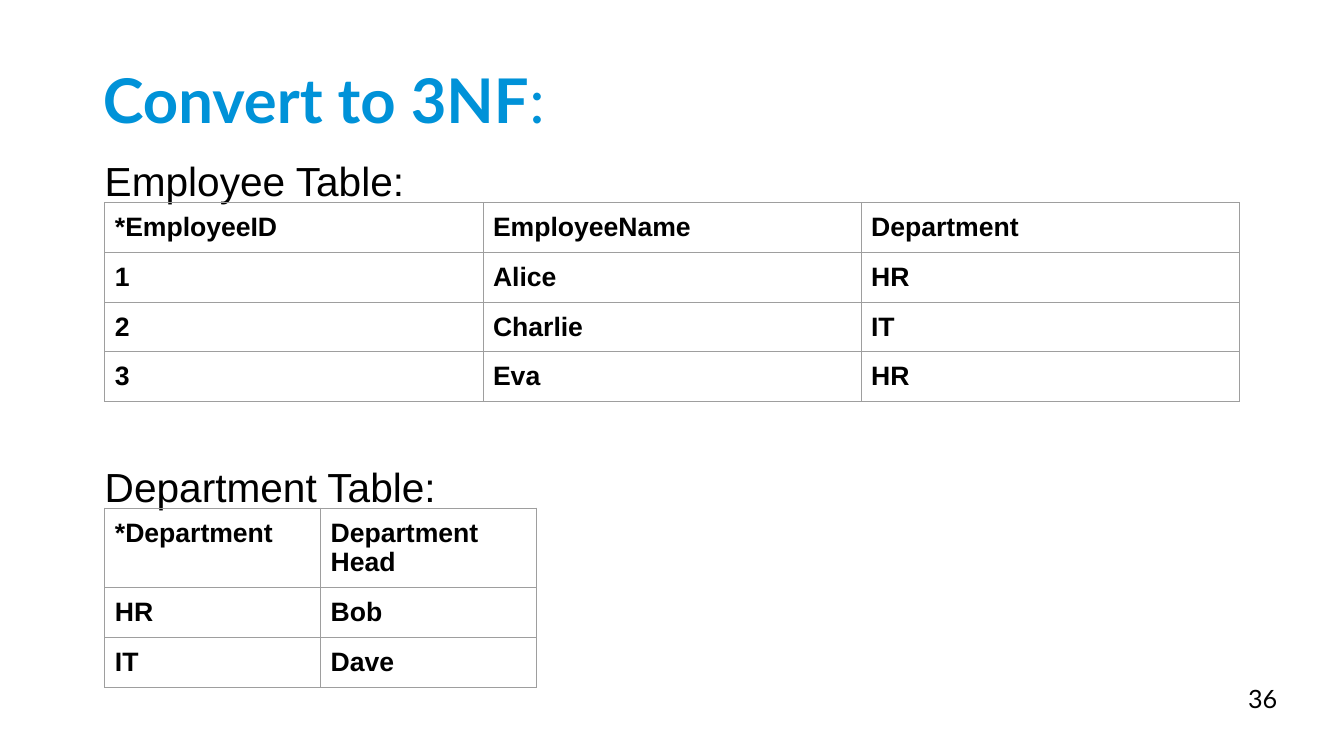
from lxml import etree
from pptx import Presentation
from pptx import util as u
from pptx.dml import color
from pptx.enum import text
from pptx.oxml import ns

TITLE_ONLY = 5


def rgb(hex_string):
    return color.RGBColor.from_string(hex_string)


def add_run(paragraph, wording, font="Arial", size=19, colour="000000", bold=False):
    run = paragraph.add_run()
    run.text = wording
    run.font.name = font
    run.font.size = u.Pt(size)
    run.font.bold = bold
    run.font.color.rgb = rgb(colour)


class SlideBuilder:
    accent = "0092D8"
    border_colour = "9E9E9E"
    border_width = u.Pt(0.75)
    heading_font = "Lato"
    inset = u.Inches(0.1)

    def __init__(self, presentation):
        self.slide = presentation.slides.add_slide(presentation.slide_layouts[TITLE_ONLY])

    def set_frame(self, frame, vertical_inset, anchor=text.MSO_ANCHOR.TOP):
        frame.word_wrap = True
        frame.auto_size = text.MSO_AUTO_SIZE.NONE
        frame.vertical_anchor = anchor
        frame.margin_left = frame.margin_right = self.inset
        frame.margin_top = frame.margin_bottom = u.Inches(vertical_inset)

    def title(self, wording, ending, left, top, width, height):
        shape = self.slide.shapes.title
        shape.left, shape.top = u.Inches(left), u.Inches(top)
        shape.width, shape.height = u.Inches(width), u.Inches(height)
        self.set_frame(shape.text_frame, 0.05, text.MSO_ANCHOR.MIDDLE)
        paragraph = shape.text_frame.paragraphs[0]
        paragraph.alignment = text.PP_ALIGN.LEFT
        paragraph.line_spacing = 0.9
        for part, bold in ((wording, True), (ending, False)):
            add_run(paragraph, part, font=self.heading_font, size=44,
                    colour=self.accent, bold=bold)

    def label(self, wording, left, top, width, height, vertical_inset=0.1, **style):
        shape = self.slide.shapes.add_textbox(
            u.Inches(left), u.Inches(top), u.Inches(width), u.Inches(height))
        self.set_frame(shape.text_frame, vertical_inset)
        add_run(shape.text_frame.paragraphs[0], wording, **style)

    def border(self, cell):
        properties = cell._tc.get_or_add_tcPr()
        for position, side in enumerate(("a:lnL", "a:lnR", "a:lnT", "a:lnB")):
            line = etree.Element(ns.qn(side), w=str(self.border_width))
            fill = etree.SubElement(line, ns.qn("a:solidFill"))
            etree.SubElement(fill, ns.qn("a:srgbClr"), val=self.border_colour)
            properties.insert(position, line)

    def table(self, rows, left, top, column_width, row_heights):
        columns = len(rows[0])
        table = self.slide.shapes.add_table(
            len(rows), columns, u.Inches(left), u.Inches(top),
            u.Inches(column_width * columns), u.Inches(sum(row_heights))).table
        table.first_row = table.horz_banding = False
        for column in table.columns:
            column.width = u.Inches(column_width)
        for row, height, values in zip(table.rows, row_heights, rows):
            row.height = u.Inches(height)
            for cell, value in zip(row.cells, values):
                cell.margin_left = cell.margin_right = self.inset
                cell.margin_top = cell.margin_bottom = self.inset
                cell.fill.background()
                self.border(cell)
                add_run(cell.text_frame.paragraphs[0], value, bold=True)


def main():
    presentation = Presentation()
    presentation.slide_width = u.Inches(13.33)
    presentation.slide_height = u.Inches(7.5)
    builder = SlideBuilder(presentation)

    # Title
    builder.title("Convert to 3NF", ":", 0.92, 0.3, 11.5, 1.45)

    # Captions and their tables
    row_height = 0.49
    employees = [
        ("*EmployeeID", "EmployeeName", "Department"),
        ("1", "Alice", "HR"),
        ("2", "Charlie", "IT"),
        ("3", "Eva", "HR"),
    ]
    departments = [("*Department", "Department Head"), ("HR", "Bob"), ("IT", "Dave")]
    sections = [
        ("Employee Table:", 1.45, employees, 3.75, row_height),
        ("Department Table:", 4.48, departments, 2.14, 0.79),
    ]
    for caption, top, rows, column_width, header_height in sections:
        builder.label(caption, 0.94, top, 4.61, 0.94, size=29)
        row_heights = [header_height] + [row_height] * (len(rows) - 1)
        builder.table(rows, 1.04, top + 0.56, column_width, row_heights)

    # Slide number
    builder.label("36", 12.28, 6.73, 1.06, 0.4, vertical_inset=0.05,
                  font=builder.heading_font, size=18)

    presentation.save("out.pptx")


if __name__ == "__main__":
    main()
